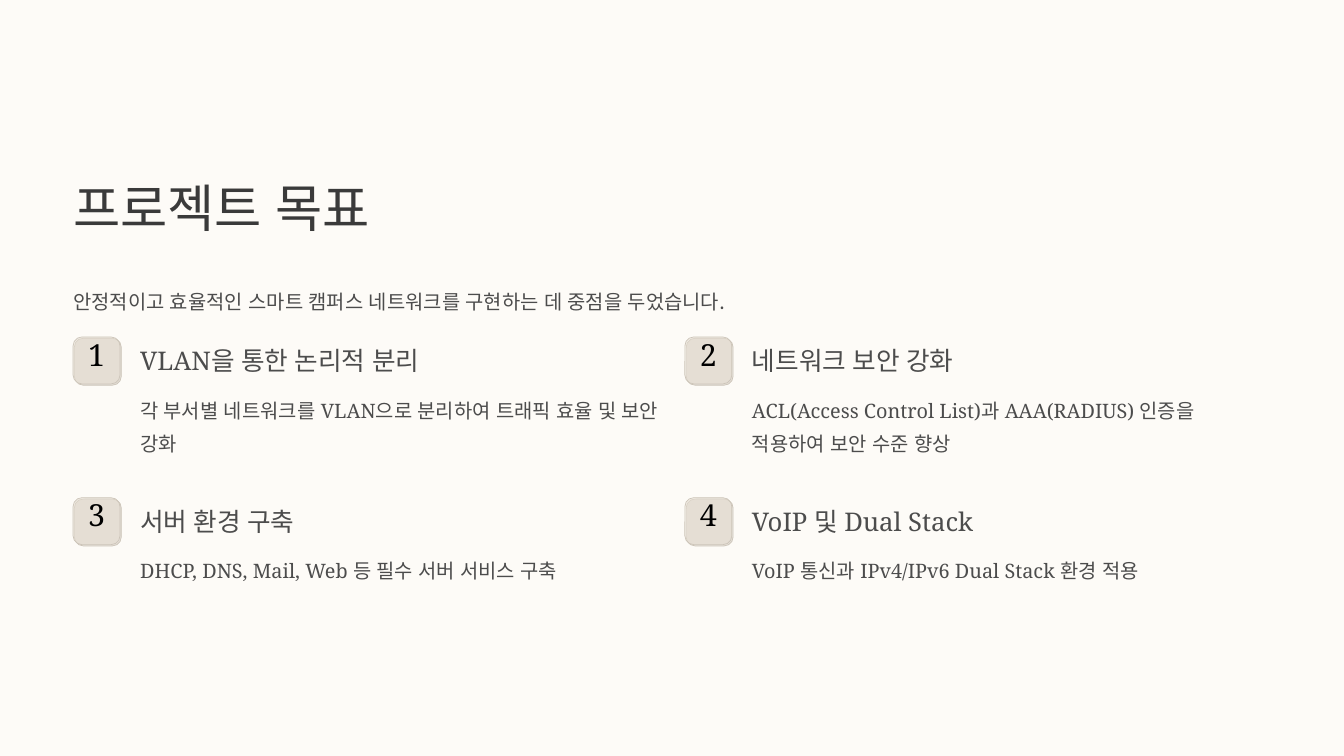
from dataclasses import dataclass

from lxml import etree
from pptx import Presentation
from pptx.dml.color import RGBColor
from pptx.enum import shapes, text
from pptx.oxml import ns
from pptx.slide import Slide
from pptx.text.text import TextFrame
from pptx.util import Cm, Pt

BACKGROUND = RGBColor(0xFD, 0xFB, 0xF7)
TITLE_INK = RGBColor(0x3A, 0x3A, 0x3A)
BODY_INK = RGBColor(0x4C, 0x4C, 0x4C)
NUMBER_INK = RGBColor(0x00, 0x00, 0x00)
TILE_FILL = RGBColor(0xE6, 0xDE, 0xD2)
TILE_EDGE = RGBColor(0xCC, 0xC4, 0xB8)
FONT = "Noto Serif"

# Grid of goals, in centimetres
LEFT, TOP = 2.21, 10.19
COLUMN_PITCH, ROW_PITCH = 18.5, 4.86
COLUMNS = 2
TILE = 1.42


@dataclass(frozen=True)
class TextStyle:
    size: float
    leading: float
    color: RGBColor
    align: text.PP_ALIGN = text.PP_ALIGN.LEFT


@dataclass(frozen=True)
class Goal:
    heading: str
    detail: str
    heading_width: float = 7.87
    detail_lines: int = 1


TITLE = TextStyle(44, 55.5, TITLE_INK)
BODY = TextStyle(17, 28.5, BODY_INK)
HEADING = TextStyle(22, 27.5, BODY_INK)
NUMBER = TextStyle(26, 26.5, NUMBER_INK, text.PP_ALIGN.CENTER)

GOALS = [
    Goal("VLAN을 통한 논리적 분리",
         "각 부서별 네트워크를 VLAN으로 분리하여 트래픽 효율 및 보안 강화", 8.61, 2),
    Goal("네트워크 보안 강화",
         "ACL(Access Control List)과 AAA(RADIUS) 인증을 적용하여 보안 수준 향상", detail_lines=2),
    Goal("서버 환경 구축", "DHCP, DNS, Mail, Web 등 필수 서버 서비스 구축"),
    Goal("VoIP 및 Dual Stack", "VoIP 통신과 IPv4/IPv6 Dual Stack 환경 적용"),
]


def place(shape, left: float, top: float, width: float, height: float) -> None:
    shape.left, shape.top = Cm(left), Cm(top)
    shape.width, shape.height = Cm(width), Cm(height)


def write(frame: TextFrame, words: str, style: TextStyle, wrap: bool = False) -> None:
    frame.margin_left = frame.margin_top = frame.margin_right = frame.margin_bottom = 0
    frame.auto_size = text.MSO_AUTO_SIZE.NONE
    frame.vertical_anchor = text.MSO_ANCHOR.TOP
    frame.word_wrap = wrap
    frame.text = words
    paragraph = frame.paragraphs[0]
    paragraph.alignment = style.align
    paragraph.line_spacing = Pt(style.leading)
    paragraph.space_before = Pt(0)
    properties = paragraph._p.get_or_add_pPr()
    properties.set("marL", "0")
    properties.set("indent", "0")
    etree.SubElement(properties, ns.qn("a:buNone"))
    paragraph.font.size = Pt(style.size)
    paragraph.font.color.rgb = style.color
    paragraph.font.name = FONT
    # Hangul uses the same typeface
    etree.SubElement(properties.find(ns.qn("a:defRPr")), ns.qn("a:ea"), typeface=FONT)


def add_text(slide: Slide, left: float, top: float, width: float, height: float,
             words: str, style: TextStyle, wrap: bool = False) -> None:
    box = slide.shapes.add_textbox(Cm(left), Cm(top), Cm(width), Cm(height))
    write(box.text_frame, words, style, wrap)


def add_tile(slide: Slide, left: float, top: float) -> None:
    tile = slide.shapes.add_shape(shapes.MSO_SHAPE.ROUNDED_RECTANGLE,
                                  Cm(left), Cm(top), Cm(TILE), Cm(TILE))
    tile.adjustments[0] = 0.19
    tile.fill.solid()
    tile.fill.fore_color.rgb = TILE_FILL
    tile.line.color.rgb = TILE_EDGE
    tile.line.width = Pt(0.6)
    tile.shadow.inherit = False
    # Half-transparent fill and a hard shadow to the lower right
    properties = tile._element.spPr
    fill_color = properties.find(ns.qn("a:solidFill"))[0]
    etree.SubElement(fill_color, ns.qn("a:alpha"), val="50000")
    shadow = etree.SubElement(properties.find(ns.qn("a:effectLst")), ns.qn("a:outerShdw"),
                              blurRad="0", dist=str(Pt(1.6)), dir=str(45 * 60000),
                              algn="tl", rotWithShape="0")
    etree.SubElement(shadow, ns.qn("a:srgbClr"), val=str(TILE_EDGE))


def add_goal(slide: Slide, index: int, goal: Goal) -> None:
    row, column = divmod(index, COLUMNS)
    left, top = LEFT + column * COLUMN_PITCH, TOP + row * ROW_PITCH
    text_left = left + 2.03
    add_tile(slide, left, top)
    add_text(slide, left + 0.24, top + 0.13, 0.94, 1.19, str(index + 1), NUMBER)
    add_text(slide, text_left, top + 0.21, goal.heading_width, 0.99, goal.heading, HEADING)
    add_text(slide, text_left, top + 1.57, 15.67, goal.detail_lines * 1.01,
             goal.detail, BODY, wrap=True)


def main() -> None:
    presentation = Presentation()
    presentation.slide_width, presentation.slide_height = Cm(40.64), Cm(22.86)
    slide = presentation.slides.add_slide(presentation.slide_layouts[1])
    slide.background.fill.solid()
    slide.background.fill.fore_color.rgb = BACKGROUND

    # Title and introduction
    title, introduction = slide.placeholders
    place(title, LEFT, 5.23, 15.75, 1.98)
    write(title.text_frame, "프로젝트 목표", TITLE)
    place(introduction, LEFT, 8.46, 36.22, 1.02)
    write(introduction.text_frame,
          "안정적이고 효율적인 스마트 캠퍼스 네트워크를 구현하는 데 중점을 두었습니다.", BODY)

    # Four numbered goals
    for index, goal in enumerate(GOALS):
        add_goal(slide, index, goal)

    presentation.save("out.pptx")


if __name__ == "__main__":
    main()
